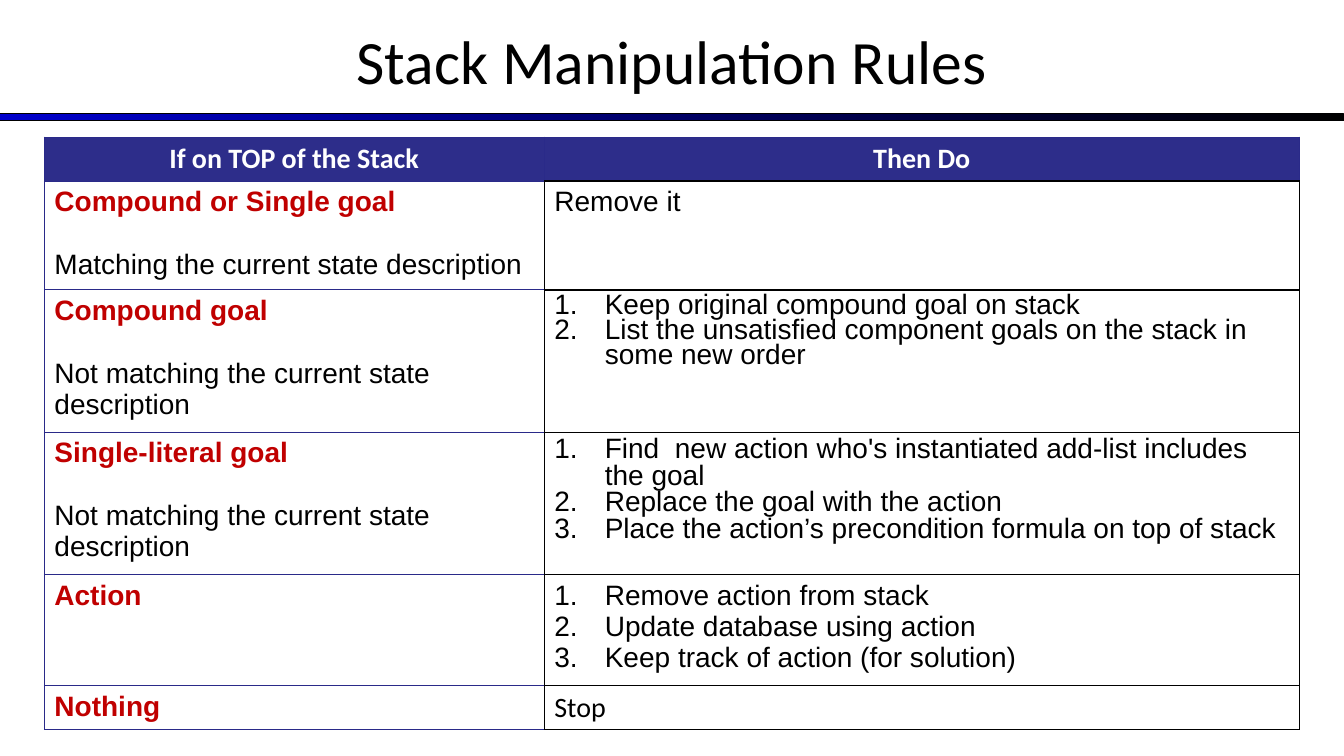
from lxml.etree import SubElement
from pptx import Presentation
from pptx.dml.color import RGBColor
from pptx.enum.shapes import MSO_SHAPE
from pptx.enum.text import MSO_ANCHOR, PP_ALIGN
from pptx.oxml.ns import qn
from pptx.util import Inches, Pt

NAVY = RGBColor(0x2A, 0x2A, 0x89)
HEADER_FILL = RGBColor(0x2D, 0x2D, 0x8A)
BLUE = RGBColor(0x00, 0x00, 0xCC)
RED = RGBColor(0xC0, 0x00, 0x00)
BLACK = RGBColor(0x00, 0x00, 0x00)
WHITE = RGBColor(0xFF, 0xFF, 0xFF)

HEADINGS = ["If on TOP of the Stack", "Then Do"]
MATCHING = "Matching the current state description"
NOT_MATCHING = "Not matching the current state description"
COLUMN_WIDTHS = [29.76, 44.94]

RULES = [
    dict(goal="Compound or Single goal", condition=MATCHING, height=6.19,
         steps=["Remove it"]),
    dict(goal="Compound goal", condition=NOT_MATCHING, height=8.04, spacing=0.8,
         steps=["Keep original compound goal on stack",
                "List the unsatisfied component goals on the stack in some new order"]),
    dict(goal="Single-literal goal", condition=NOT_MATCHING, height=8.04, spacing=0.85,
         steps=["Find  new action who's instantiated add-list includes the goal",
                "Replace the goal with the action",
                "Place the action’s precondition formula on top of stack"]),
    dict(goal="Action", height=6.19,
         steps=["Remove action from stack", "Update database using action",
                "Keep track of action (for solution)"]),
    dict(goal="Nothing", height=2.62, steps=["Stop"], font="Calibri"),
]


class RuleSlide:
    """Draw titled rule tables on a slide with a grid of 80 columns by 45 rows."""

    heading_font = "Calibri"
    body_font = "Arial"
    body_size = 20

    def __init__(self, presentation):
        self.slide = presentation.slides.add_slide(presentation.slide_layouts[6])
        self.column = presentation.slide_width / 80
        self.row = presentation.slide_height / 45

    def box(self, left, top, width, height):
        return (round(left * self.column), round(top * self.row),
                round(width * self.column), round(height * self.row))

    def add_text(self, paragraph, text, color=BLACK, bold=False, font=None, size=None):
        run = paragraph.add_run()
        run.text = text
        run.font.name = font or self.body_font
        run.font.size = Pt(size or self.body_size)
        run.font.bold = bold
        run.font.color.rgb = color

    def title(self, text, *area):
        frame = self.slide.shapes.add_textbox(*self.box(*area)).text_frame
        frame.word_wrap = True
        frame.vertical_anchor = MSO_ANCHOR.MIDDLE
        paragraph = frame.paragraphs[0]
        paragraph.alignment = PP_ALIGN.CENTER
        self.add_text(paragraph, text, font=self.heading_font, size=44)

    def gradient_bar(self, *area):
        shape = self.slide.shapes.add_shape(MSO_SHAPE.RECTANGLE, *self.box(*area))
        shape.shadow.inherit = False
        shape.fill.gradient()
        shape.fill.gradient_angle = 0
        for stop, color in zip(shape.fill.gradient_stops, (BLUE, BLACK)):
            stop.color.rgb = color
        shape.line.color.rgb = BLACK
        shape.line.width = Pt(0.75)

    def finish_cell(self, cell, fill, **edges):
        properties = cell._tc.get_or_add_tcPr()
        for side in "LRTB":
            color = edges[side]
            width = Pt(0.75) if color == NAVY else Pt(1)
            line = SubElement(properties, qn(f"a:ln{side}"), w=str(int(width)))
            solid = SubElement(line, qn("a:solidFill"))
            SubElement(solid, qn("a:srgbClr"), val=str(color))
        cell.fill.solid()
        cell.fill.fore_color.rgb = fill

    def heading_cell(self, cell, text):
        paragraph = cell.text_frame.paragraphs[0]
        paragraph.alignment = PP_ALIGN.CENTER
        self.add_text(paragraph, text, WHITE, True, self.heading_font)

    def goal_cell(self, cell, goal, condition):
        frame = cell.text_frame
        self.add_text(frame.paragraphs[0], goal, RED, True)
        if condition:
            paragraph = frame.add_paragraph()
            paragraph.space_before = Pt(22.5)
            self.add_text(paragraph, condition)

    def steps_cell(self, cell, steps, spacing, font):
        frame = cell.text_frame
        for index, step in enumerate(steps):
            paragraph = frame.add_paragraph() if index else frame.paragraphs[0]
            if spacing:
                paragraph.line_spacing = spacing
            if len(steps) > 1:
                properties = paragraph._p.get_or_add_pPr()
                properties.set("marL", str(int(Inches(0.5))))
                properties.set("indent", str(int(Inches(-0.5))))
                SubElement(properties, qn("a:buFont"), typeface=self.body_font)
                SubElement(properties, qn("a:buAutoNum"), type="arabicPeriod")
            self.add_text(paragraph, step, font=font)

    def rule_table(self, left, top, widths, headings, heading_height, rules):
        heights = [heading_height] + [rule["height"] for rule in rules]
        area = self.box(left, top, sum(widths), sum(heights))
        table = self.slide.shapes.add_table(len(heights), len(widths), *area).table
        for table_column, width in zip(table.columns, widths):
            table_column.width = round(width * self.column)
        for table_row, height in zip(table.rows, heights):
            table_row.height = round(height * self.row)
        for index, heading in enumerate(headings):
            cell = table.cell(0, index)
            self.heading_cell(cell, heading)
            self.finish_cell(cell, HEADER_FILL, L=NAVY, R=NAVY, T=NAVY,
                             B=BLACK if index else NAVY)
        for index, rule in enumerate(rules, 1):
            goal, steps = table.cell(index, 0), table.cell(index, 1)
            self.goal_cell(goal, rule["goal"], rule.get("condition"))
            self.finish_cell(goal, WHITE, L=NAVY, R=BLACK, T=NAVY, B=NAVY)
            self.steps_cell(steps, rule["steps"], rule.get("spacing"), rule.get("font"))
            self.finish_cell(steps, WHITE, L=BLACK, R=BLACK, T=BLACK, B=BLACK)


def main():
    presentation = Presentation()
    presentation.slide_width = Inches(13.33)
    presentation.slide_height = Inches(7.5)
    page = RuleSlide(presentation)
    page.gradient_bar(0, 6.78, 80, 0.42)
    page.title("Stack Manipulation Rules", 0, -0.18, 80, 7.5)
    page.rule_table(2.64, 8.16, COLUMN_WIDTHS, HEADINGS, 2.62, RULES)
    presentation.save("out.pptx")


if __name__ == "__main__":
    main()
